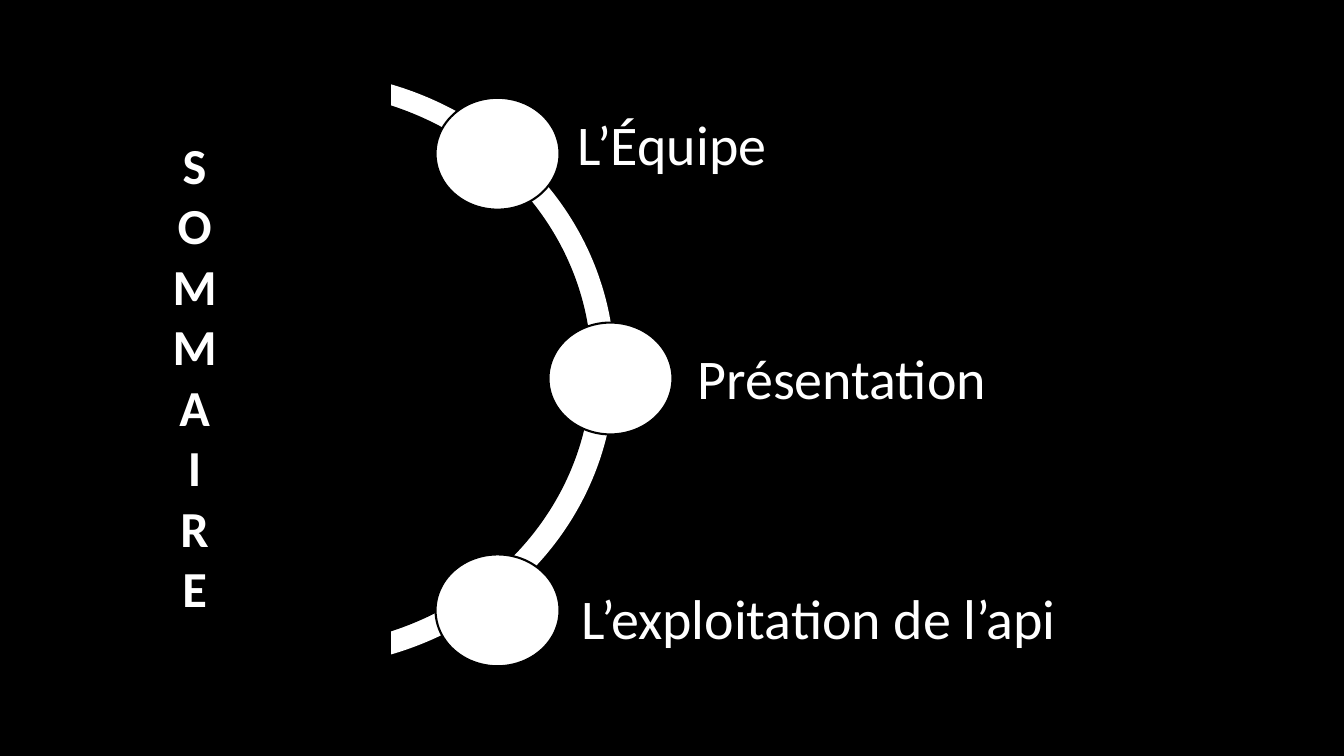
"""Build the agenda slide: a vertical title and three topics along an arc."""
from pptx import Presentation
from pptx.dml.color import RGBColor
from pptx.enum.shapes import MSO_SHAPE
from pptx.enum.text import MSO_AUTO_SIZE, PP_ALIGN
from pptx.util import Inches, Pt

BLACK = "000000"
WHITE = "FFFFFF"


def color(value):
    """Return the colour for a hex string."""
    return RGBColor.from_string(value)


def write_text(text_frame, text, size=40, bold=False, align=PP_ALIGN.LEFT, font="Calibri", fill=WHITE):
    """Write each line of the text as a formatted paragraph."""
    for index, line in enumerate(text.split("\n")):
        paragraph = text_frame.add_paragraph() if index else text_frame.paragraphs[0]
        paragraph.alignment = align
        run = paragraph.add_run()
        run.text = line
        run.font.name = font
        run.font.size = Pt(size)
        run.font.bold = bold
        run.font.color.rgb = color(fill)


class SlideBuilder:
    """Hold the current slide and draw its elements in one style."""

    def __init__(self, slide):
        """Keep the slide to draw on."""
        self.slide = slide

    def shape(self, kind, box, fill, line, width=1):
        """Add a filled and outlined preset shape."""
        shape = self.slide.shapes.add_shape(kind, *map(Inches, box))
        shape.shadow.inherit = False
        shape.fill.solid()
        shape.fill.fore_color.rgb = color(fill)
        shape.line.color.rgb = color(line)
        shape.line.width = Pt(width)

    def rectangle(self, *box):
        """Add a black rectangle."""
        self.shape(MSO_SHAPE.RECTANGLE, box, BLACK, BLACK)

    def disc(self, *box, fill=WHITE, line=WHITE, width=1):
        """Add a round shape."""
        self.shape(MSO_SHAPE.FLOWCHART_CONNECTOR, box, fill, line, width)

    def text(self, text, *box, **text_format):
        """Add a wrapping text box."""
        text_frame = self.slide.shapes.add_textbox(*map(Inches, box)).text_frame
        text_frame.word_wrap = True
        text_frame.auto_size = MSO_AUTO_SIZE.SHAPE_TO_FIT_TEXT
        write_text(text_frame, text, **text_format)


def main():
    """Build and save the slide."""
    presentation = Presentation()
    presentation.slide_width = Inches(13.33)
    presentation.slide_height = Inches(7.5)
    builder = SlideBuilder(presentation.slides.add_slide(presentation.slide_layouts[6]))

    builder.rectangle(-0.21, 0, 13.54, 7.5)
    builder.disc(-0.21, 0.71, 6.3, 5.91)
    builder.disc(-0.05, 0.9, 5.91, 5.51, fill=BLACK, line=BLACK)
    builder.rectangle(-0.27, 0.29, 4.14, 7.15)
    builder.text("\n".join("SOMMAIRE"), 1.57, 1.28, 0.72, 4.95,
                 size=36, bold=True, align=PP_ALIGN.CENTER)

    topics = [
        ("L’Équipe", 4.32, 0.97, 5.63, 1.04, 3.84),
        ("Présentation", 5.44, 3.2, 6.82, 3.36, 3.84),
        ("L’exploitation de l’api", 4.32, 5.5, 5.67, 5.74, 5.23),
    ]
    for topic, disc_left, disc_top, text_left, text_top, text_width in topics:
        builder.disc(disc_left, disc_top, 1.23, 1.11, line=BLACK, width=1.5)
        builder.text(topic, text_left, text_top, text_width, 0.77)

    presentation.save("out.pptx")


if __name__ == "__main__":
    main()
